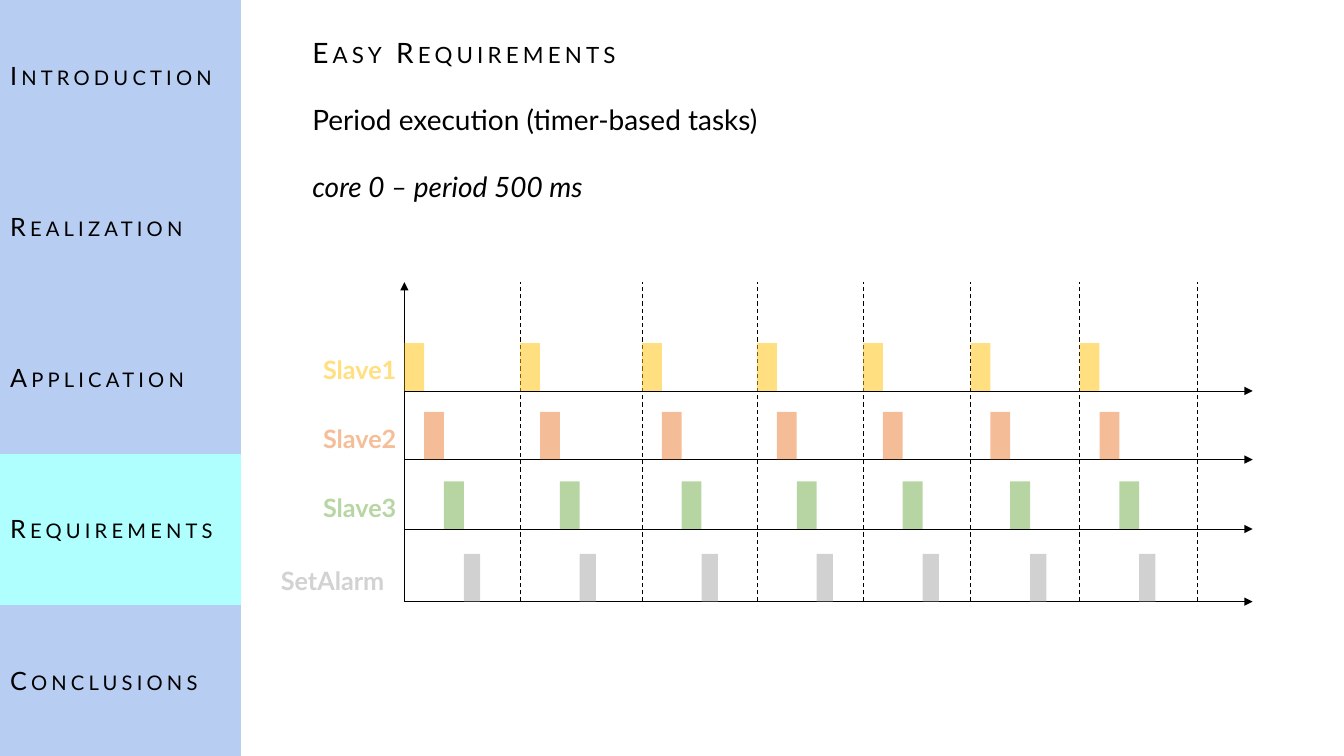
from dataclasses import dataclass

from lxml import etree
from pptx import Presentation
from pptx.dml.color import RGBColor
from pptx.enum.dml import MSO_LINE
from pptx.enum.shapes import MSO_CONNECTOR, MSO_SHAPE
from pptx.enum.text import MSO_ANCHOR, MSO_AUTO_SIZE, PP_ALIGN
from pptx.oxml.ns import qn
from pptx.util import Cm, Pt

STRAIGHT, RECT = MSO_CONNECTOR.STRAIGHT, MSO_SHAPE.RECTANGLE
DASH, MIDDLE = MSO_LINE.DASH, MSO_ANCHOR.MIDDLE
LEFT, RIGHT = PP_ALIGN.LEFT, PP_ALIGN.RIGHT
FIT_SHAPE = MSO_AUTO_SIZE.SHAPE_TO_FIT_TEXT
NO_STYLE = "{2D5ABB26-0587-4C30-8999-92F81FD0307C}"


@dataclass(frozen=True)
class Theme:
    font: str = "Lato"
    ink: str = "000000"
    sidebar: str = "B8CDF2"
    active: str = "AFFFFF"
    body: float = 20
    label: float = 18
    axis: float = 0.5
    period: float = 0.75


THEME = Theme()
SECTIONS = ["Introduction", "Realization", "Application", "Requirements", "Conclusions"]
LINES = [
    ("Easy Requirements", {}, True),
    ("Period execution (timer-based tasks)", {}, False),
    ("core 0 – period 500 ms", {"italic": True}, False),
]
# Chart lengths are in cm from the top left of the chart box
PERIODS = [0, 2.92, 5.99, 8.89, 11.56, 14.27, 17.02, 19.99]
BAR_STEP, BAR_HEIGHT, LABEL_RISE = 0.5, 1.2, 1.04
# name, baseline, bar width, bar colour, label colour, label left, label width, alignment
TASKS = [
    ("Slave1", 2.74, 0.5, "FFC000", "FFDF7F", -2.57, 2.62, RIGHT),
    ("Slave2", 4.47, 0.5, "ED7D31", "F6BE98", -2.57, 2.62, RIGHT),
    ("Slave3", 6.22, 0.5, "70AD47", "B7D6A3", -2.57, 2.62, RIGHT),
    ("SetAlarm", 8.05, 0.41, "A5A5A5", "D2D2D2", -3.36, 3.38, LEFT),
]


def add_run(p, text, size, color=THEME.ink, small_caps=False, **formats):
    r = p.add_run()
    r.text = text
    for name, value in {"name": THEME.font, "size": Pt(size), **formats}.items():
        setattr(r.font, name, value)
    r.font.color.rgb = RGBColor.from_string(color)
    if small_caps:
        rPr = r.font._element
        rPr.set("cap", "small")
        rPr.set("spc", "300")


def add_text_box(s, x, y, w, h, wrap):
    tf = s.shapes.add_textbox(Cm(x), Cm(y), Cm(w), Cm(h)).text_frame
    tf.word_wrap = wrap
    tf.auto_size = FIT_SHAPE
    return tf


def add_block(s, x, y, w, h, color, alpha=None):
    sp = s.shapes.add_shape(RECT, Cm(x), Cm(y), Cm(w), Cm(h))
    sp.shadow.inherit = False
    sp.line.fill.background()
    sp.fill.solid()
    sp.fill.fore_color.rgb = RGBColor.from_string(color)
    if alpha:
        srgb = sp._element.spPr.find(qn("a:solidFill")).find(qn("a:srgbClr"))
        etree.SubElement(srgb, qn("a:alpha")).set("val", str(alpha * 1000))


def add_line(s, x1, y1, x2, y2, width, dashed=False):
    """Draw a dashed line, or a solid one ending in an arrowhead."""
    c = s.shapes.add_connector(STRAIGHT, Cm(x1), Cm(y1), Cm(x2), Cm(y2))
    c.line.width = Pt(width)
    c.line.color.rgb = RGBColor.from_string(THEME.ink)
    if dashed:
        c.line.dash_style = DASH
    else:
        etree.SubElement(c.line._get_or_add_ln(), qn("a:tailEnd")).set("type", "triangle")
    etree.SubElement(c._element.spPr, qn("a:effectLst"))


def add_sidebar(s, x, y, w, h, current):
    add_block(s, x, y, w, h, THEME.sidebar)
    frame = s.shapes.add_table(len(SECTIONS), 1, Cm(x), Cm(y), Cm(w), Cm(h))
    table = frame.table
    table.first_row = table.horz_banding = False
    table._tbl.tblPr.find(qn("a:tableStyleId")).text = NO_STYLE
    for row, section in enumerate(SECTIONS):
        cell = table.cell(row, 0)
        cell.vertical_anchor = MIDDLE
        cell.fill.solid()
        color = THEME.active if section == current else THEME.sidebar
        cell.fill.fore_color.rgb = RGBColor.from_string(color)
        p = cell.text_frame.paragraphs[0]
        p.alignment = LEFT
        add_run(p, section, THEME.label, small_caps=True)


def add_heading(s, x, y, w, h):
    tf = add_text_box(s, x, y, w, h, wrap=True)
    for i, (text, formats, small_caps) in enumerate(LINES):
        p = tf.add_paragraph() if i else tf.paragraphs[0]
        if i:
            p.space_before = Pt(24)
        add_run(p, text, THEME.body, small_caps=small_caps, **formats)


def add_timing_chart(s, x, y, w, h):
    # Axes
    add_line(s, x, y + h, x, y, THEME.axis)
    for task in TASKS:
        add_line(s, x, y + task[1], x + w, y + task[1], THEME.axis)

    # Task names
    for name, base, _, _, color, left, width, align in TASKS:
        tf = add_text_box(s, x + left, y + base - LABEL_RISE, width, 1.03, wrap=False)
        tf.paragraphs[0].alignment = align
        add_run(tf.paragraphs[0], name, THEME.label, color, bold=True)

    # Period marks
    for start in PERIODS[1:]:
        add_line(s, x + start, y + h, x + start, y, THEME.period, dashed=True)

    # Tasks run one after another from the start of each period
    for order, (_, base, width, color, *_) in enumerate(TASKS):
        for start in PERIODS[:-1]:
            add_block(s, x + start + order * BAR_STEP, y + base - BAR_HEIGHT,
                      width, BAR_HEIGHT, color, alpha=50)


def main():
    prs = Presentation()
    prs.slide_width, prs.slide_height = Cm(33.87), Cm(19.05)
    s = prs.slides.add_slide(prs.slide_layouts[6])
    add_sidebar(s, 0, 0, 6.07, 19.05, "Requirements")
    add_heading(s, 7.62, 0.76, 20.07, 4.52)
    add_timing_chart(s, 10.19, 7.11, 21.38, 8.05)
    prs.save("out.pptx")


if __name__ == "__main__":
    main()
